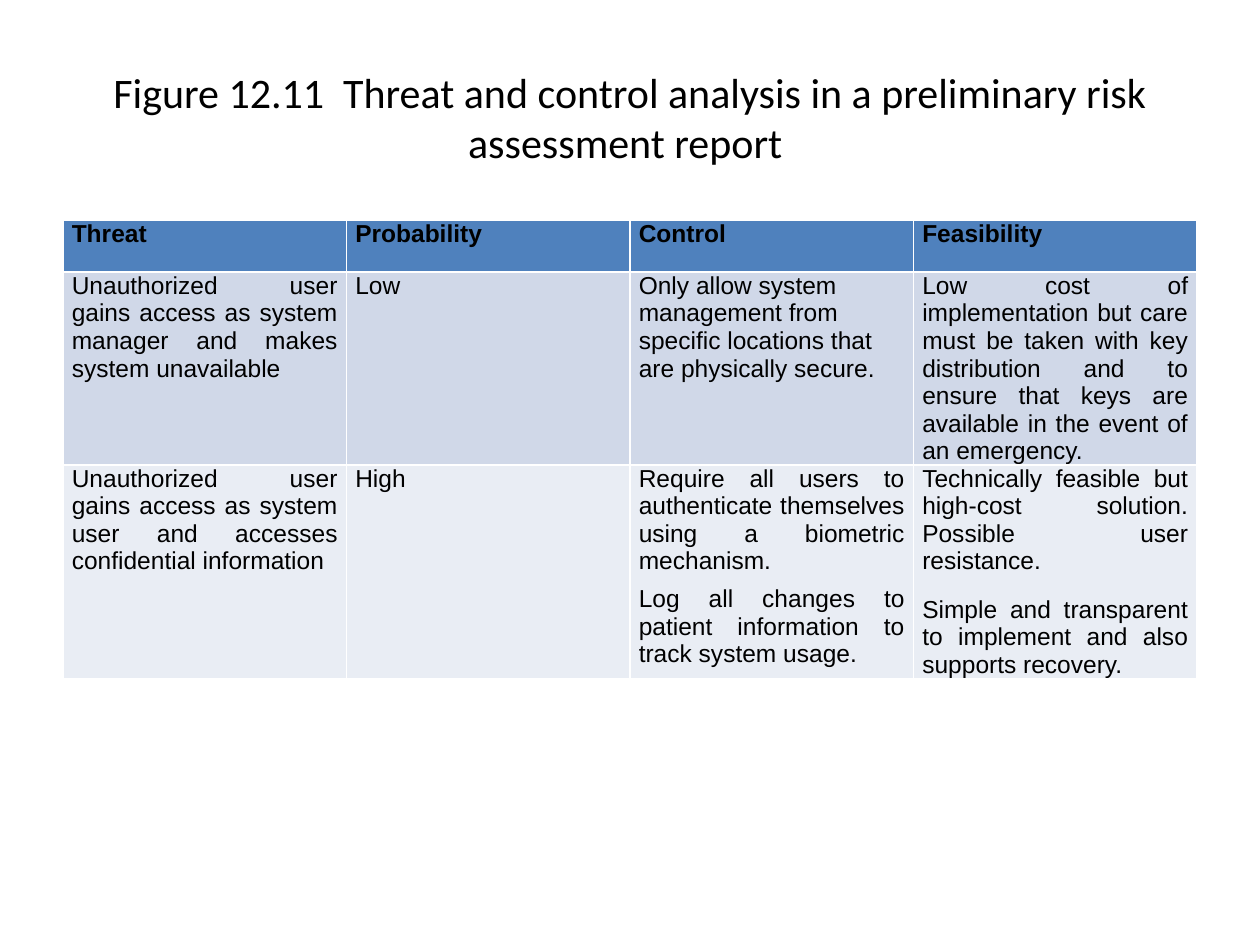
from pptx import Presentation
from pptx.dml.color import RGBColor
from pptx.enum.text import MSO_ANCHOR, PP_ALIGN as Align
from pptx.util import Inches, Pt

BLACK = RGBColor(0x00, 0x00, 0x00)
HEADER_BLUE = RGBColor(0x4F, 0x81, 0xBD)
BAND_DARK = RGBColor(0xD0, 0xD8, 0xE8)
BAND_LIGHT = RGBColor(0xE9, 0xED, 0xF4)


def write(para, text, font="Arial", size=14, bold=False, align=Align.JUSTIFY, before=0, after=0):
    para.alignment = align
    para.space_before = Pt(before)
    para.space_after = Pt(after)
    span = para.add_run()
    span.text = text
    span.font.name = font
    span.font.size = Pt(size)
    span.font.bold = bold
    span.font.color.rgb = BLACK


deck = Presentation()
deck.slide_width = Inches(10)
deck.slide_height = Inches(7.5)
page = deck.slides.add_slide(deck.slide_layouts[5])

title = page.shapes.title
title.left, title.top = Inches(0.5), Inches(0.3)
title.width, title.height = Inches(9), Inches(1.25)
title.text_frame.vertical_anchor = MSO_ANCHOR.MIDDLE
write(
    title.text_frame.paragraphs[0],
    "Figure 12.11  Threat and control analysis in a preliminary risk assessment report ",
    font="Calibri", size=24, align=Align.CENTER,
)

rows = [
    (HEADER_BLUE, dict(bold=True, before=3, after=3),
     [["Threat"], ["Probability"], ["Control"], ["Feasibility"]]),
    (BAND_DARK, dict(), [
        ["Unauthorized user gains access as system manager and makes system unavailable"],
        ["Low"],
        ["Only allow system management from specific locations that are physically secure."],
        ["Low cost of implementation but care must be taken with key distribution and to "
         "ensure that keys are available in the event of an emergency. "],
    ]),
    (BAND_LIGHT, dict(before=6), [
        ["Unauthorized user gains access as system user and accesses confidential information"],
        ["High"],
        ["Require all users to authenticate themselves using a biometric mechanism.",
         "Log all changes to patient information to track system usage."],
        ["Technically feasible but high-cost solution. Possible user resistance.",
         "Simple and transparent to implement and also supports recovery."],
    ]),
]
special = {
    (1, 2, 0): dict(align=Align.LEFT),
    (2, 2, 0): dict(after=6),
    (2, 2, 1): dict(before=0),
    (2, 3, 0): dict(after=6),
}

frame = page.shapes.add_table(3, 4, Inches(0.5), Inches(1.75), Inches(9), Inches(1.23))
frame.height = Inches(3.84)
table = frame.table
for row_index, (fill, style, cells) in enumerate(rows):
    for column_index, texts in enumerate(cells):
        cell = table.cell(row_index, column_index)
        cell.fill.solid()
        cell.fill.fore_color.rgb = fill
        cell.margin_left = cell.margin_right = Inches(0.07)
        cell.margin_top = cell.margin_bottom = 0
        for index, text in enumerate(texts):
            box = cell.text_frame
            para = box.add_paragraph() if index else box.paragraphs[0]
            changes = special.get((row_index, column_index, index), {})
            write(para, text, **{**style, **changes})

deck.save("out.pptx")
